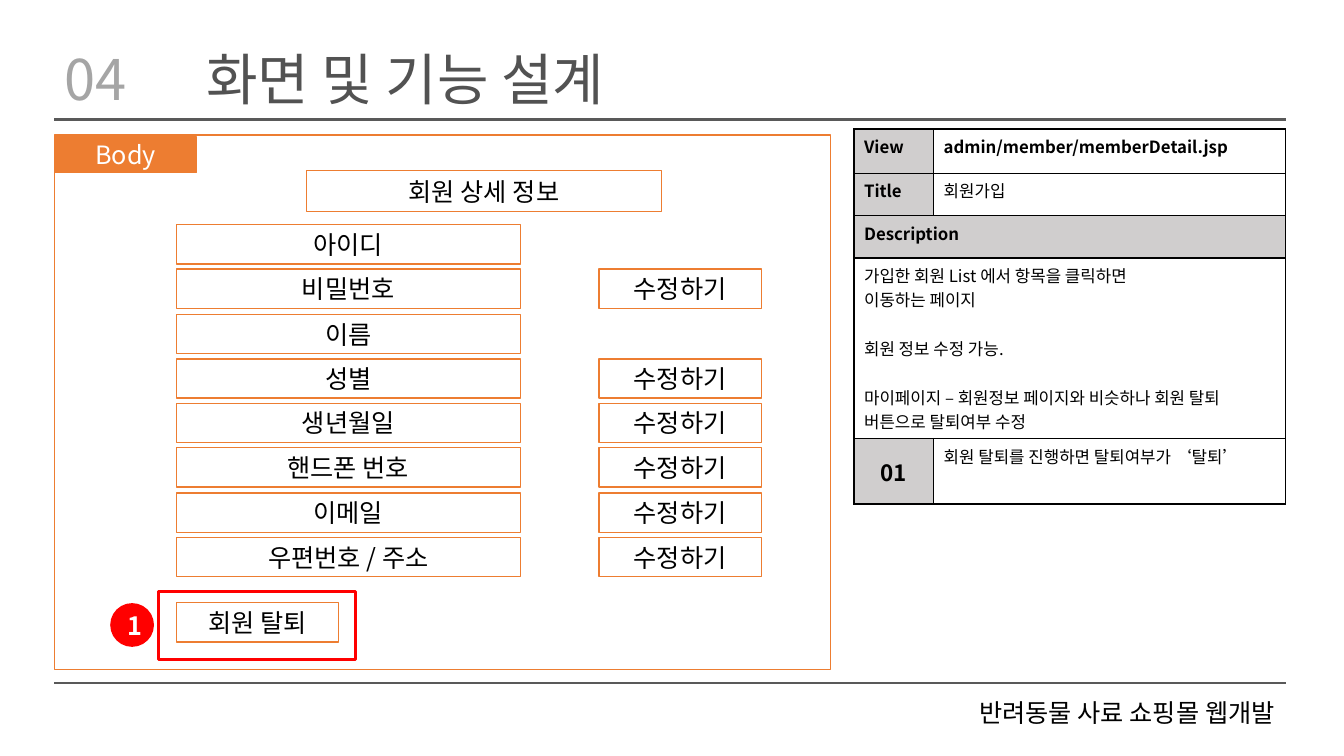
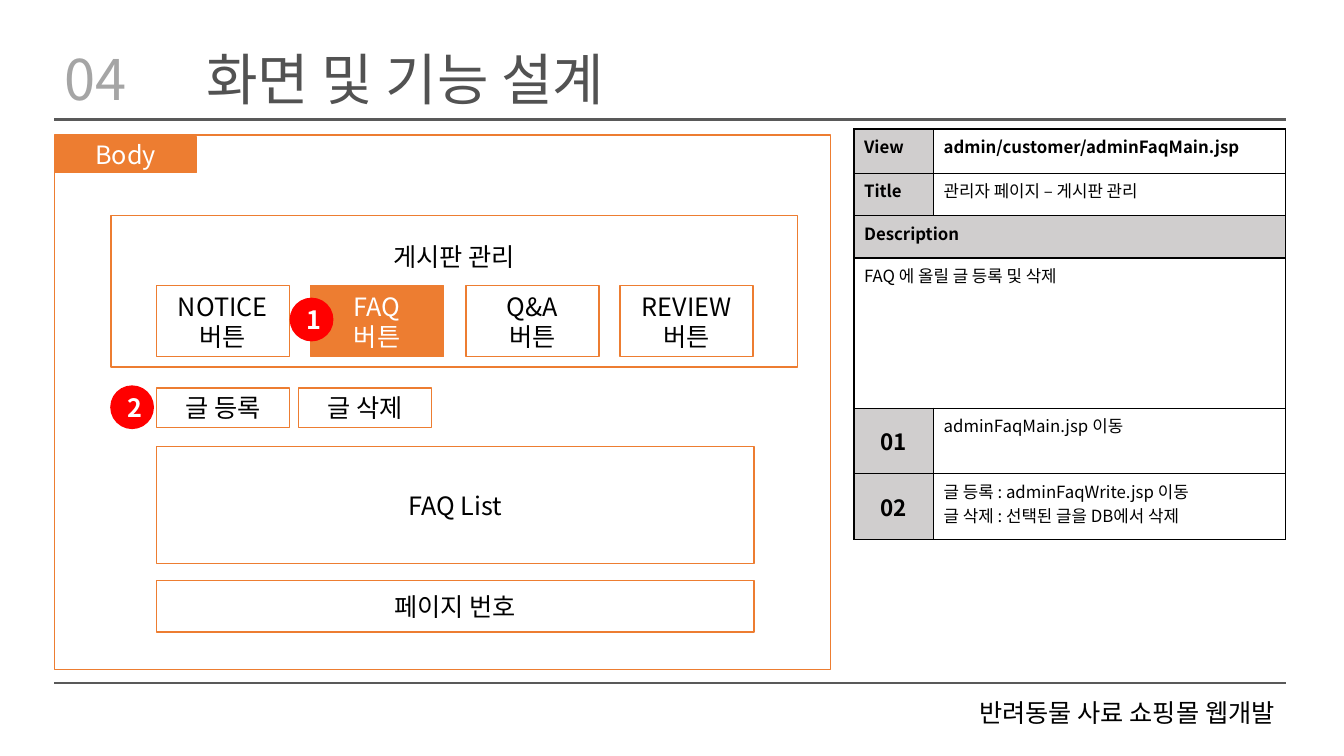
from dataclasses import dataclass
from typing import NamedTuple, Optional

from lxml import etree
from pptx import Presentation
from pptx import slide as sl
from pptx import util as u
from pptx.dml import color
from pptx.enum import shapes, text
from pptx.oxml import ns

EMU_PER_PX = 9144  # 100 px to the inch


def px(length: int) -> u.Emu:
    return u.Emu(length * EMU_PER_PX)


@dataclass(frozen=True)
class Theme:
    font: str = "Noto Sans CJK KR"
    white: str = "FFFFFF"
    black: str = "000000"
    rule: str = "595959"
    number: str = "A5A5A5"
    title: str = "525252"
    accent: str = "ED7D31"
    alert: str = "FF0000"
    label: str = "D0CECE"
    title_size: int = 40
    body_size: int = 18
    index_size: int = 16
    cell_size: int = 12
    blank_line: float = 17.4


T = Theme()


class Look(NamedTuple):
    fill: Optional[str] = None
    line: Optional[str] = None
    weight: float = 1
    ink: str = T.black
    bold: bool = False
    size: int = T.body_size
    align: text.PP_ALIGN = text.PP_ALIGN.CENTER
    anchor: text.MSO_ANCHOR = text.MSO_ANCHOR.MIDDLE
    spacing: Optional[float] = None


class Place(NamedTuple):
    left: int
    top: int
    width: int
    height: int


class Line(NamedTuple):
    words: str
    gap_before: float = 0


class Box(NamedTuple):
    place: Place
    lines: tuple[str, ...] = ()
    look: Look = Look(line=T.accent)
    outline: shapes.MSO_SHAPE = shapes.MSO_SHAPE.RECTANGLE


class Action(NamedTuple):
    index: str
    lines: tuple[str, ...]


class Screen(NamedTuple):
    view: str
    title: str
    description: tuple[Line, ...]
    actions: tuple[Action, ...]
    mockup: tuple[Box, ...]


FIELD = Look(line=T.accent)
SELECTED = Look(fill=T.accent, line=T.accent, ink=T.white)
CAPTION = Look()
HIGHLIGHT = Look(line=T.alert, weight=2.25)
BADGE = Look(fill=T.alert, line=T.alert, ink=T.white, bold=True)
HEADING = Look(size=T.title_size, align=text.PP_ALIGN.LEFT,
               anchor=text.MSO_ANCHOR.TOP, spacing=0.9)
FOOTER = Look(fill=T.white, align=text.PP_ALIGN.RIGHT,
              anchor=text.MSO_ANCHOR.TOP, spacing=0.8)
CELL = Look(fill=T.white, size=T.cell_size, align=text.PP_ALIGN.LEFT,
            anchor=text.MSO_ANCHOR.TOP)
CELL_BOLD = CELL._replace(bold=True)
CELL_LABEL = CELL_BOLD._replace(fill=T.label)
CELL_INDEX = Look(fill=T.label, bold=True, size=T.index_size)

# Elements that every screen shares
FRAME = (
    Box(Place(773, 693, 501, 37), ("반려동물 사료 쇼핑몰 웹개발",), FOOTER),
    Box(Place(54, 47, 84, 66), ("04",), HEADING._replace(ink=T.number)),
    Box(Place(195, 47, 1080, 66), ("화면 및 기능 설계",),
        HEADING._replace(ink=T.title)),
)
BODY = (
    Box(Place(54, 134, 770, 530)),
    Box(Place(54, 136, 141, 35), ("Body",), SELECTED),
)
RULES = ((119, 2.25), (678, 1.5))
RULE_LEFT, RULE_RIGHT = 54, 1275
TABLE_LEFT, TABLE_TOP = 847, 128
TABLE_COLUMNS = (79, 349)
HEAD_ROWS = (44, 42, 42, 149)
ACTION_ROW = 65


def rgb(value: str) -> color.RGBColor:
    return color.RGBColor.from_string(value)


def write(frame, lines: tuple[Line, ...], look: Look) -> None:
    """Fill a text frame, one paragraph for each line."""
    for number, line in enumerate(lines):
        paragraph = frame.paragraphs[0] if number == 0 else frame.add_paragraph()
        paragraph.alignment = look.align
        if look.spacing:
            paragraph.line_spacing = look.spacing
        if line.gap_before:
            paragraph.space_before = u.Pt(line.gap_before)
        run = paragraph.add_run()
        run.text = line.words
        run.font.size = u.Pt(look.size)
        run.font.bold = look.bold
        run.font.color.rgb = rgb(look.ink)
        run.font.name = T.font
        east_asian = etree.SubElement(run.font._element, ns.qn("a:ea"))
        east_asian.set("typeface", T.font)


def draw_box(slide: sl.Slide, box: Box) -> None:
    look = box.look
    shape = slide.shapes.add_shape(box.outline, *map(px, box.place))
    shape.shadow.inherit = False
    if look.fill:
        shape.fill.solid()
        shape.fill.fore_color.rgb = rgb(look.fill)
    else:
        shape.fill.background()
    if look.line:
        shape.line.color.rgb = rgb(look.line)
        shape.line.width = u.Pt(look.weight)
    else:
        shape.line.fill.background()
    shape.text_frame.word_wrap = True
    shape.text_frame.vertical_anchor = look.anchor
    write(shape.text_frame, tuple(map(Line, box.lines)), look)


def draw_rule(slide: sl.Slide, top: int, weight: float) -> None:
    rule = slide.shapes.add_connector(
        shapes.MSO_CONNECTOR.STRAIGHT,
        px(RULE_LEFT), px(top), px(RULE_RIGHT), px(top))
    rule.line.color.rgb = rgb(T.rule)
    rule.line.width = u.Pt(weight)
    etree.SubElement(rule._element.spPr, ns.qn("a:effectLst"))


def style_cell(cell, look: Look) -> None:
    """Give a cell its fill, anchor and four black borders."""
    cell.fill.solid()
    cell.fill.fore_color.rgb = rgb(look.fill)
    cell.vertical_anchor = look.anchor
    properties = cell._tc.get_or_add_tcPr()
    for position, side in enumerate(("lnL", "lnR", "lnT", "lnB")):
        border = etree.Element(ns.qn(f"a:{side}"), w=str(int(u.Pt(1))))
        fill = etree.SubElement(border, ns.qn("a:solidFill"))
        etree.SubElement(fill, ns.qn("a:srgbClr"), val=T.black)
        properties.insert(position, border)


def draw_table(slide: sl.Slide, screen: Screen) -> None:
    heights = HEAD_ROWS + (ACTION_ROW,) * len(screen.actions)
    table = slide.shapes.add_table(
        len(heights), len(TABLE_COLUMNS), px(TABLE_LEFT), px(TABLE_TOP),
        px(sum(TABLE_COLUMNS)), px(sum(heights))).table
    table.first_row = table.horz_banding = False
    for column, width in zip(table.columns, TABLE_COLUMNS):
        column.width = px(width)
    # A row with one entry spans both columns
    rows = [
        (((Line("View"),), CELL_LABEL), ((Line(screen.view),), CELL_BOLD)),
        (((Line("Title"),), CELL_LABEL), ((Line(screen.title),), CELL)),
        (((Line("Description"),), CELL_LABEL),),
        ((screen.description, CELL),),
    ]
    for action in screen.actions:
        rows.append((((Line(action.index),), CELL_INDEX),
                     (tuple(map(Line, action.lines)), CELL)))
    for number, (entries, height) in enumerate(zip(rows, heights)):
        table.rows[number].height = px(height)
        for column in range(len(TABLE_COLUMNS)):
            style_cell(table.cell(number, column),
                       entries[min(column, len(entries) - 1)][1])
        if len(entries) == 1:
            table.cell(number, 0).merge(table.cell(number, 1))
        for column, (lines, look) in enumerate(entries):
            write(table.cell(number, column).text_frame, lines, look)


def badge(left: int, top: int, number: str) -> Box:
    return Box(Place(left, top, 42, 42), (number,), BADGE,
               shapes.MSO_SHAPE.OVAL)


def member_mockup() -> tuple[Box, ...]:
    fields = (("아이디", False), ("비밀번호", True), ("이름", False),
              ("성별", True), ("생년월일", True), ("핸드폰 번호", True),
              ("이메일", True), ("우편번호 / 주소", True))
    first, last = 223, 533
    mockup = [Box(Place(304, 169, 352, 41), ("회원 상세 정보",))]
    for number, (field, editable) in enumerate(fields):
        top = round(first + number * (last - first) / (len(fields) - 1))
        mockup.append(Box(Place(175, top, 341, 39), (field,)))
        if editable:
            mockup.append(Box(Place(594, top, 161, 39), ("수정하기",)))
    mockup += [
        Box(Place(175, 598, 161, 39), ("회원 탈퇴",)),
        Box(Place(157, 587, 196, 67), (), HIGHLIGHT),
        badge(110, 599, "1"),
    ]
    return tuple(mockup)


def faq_mockup() -> tuple[Box, ...]:
    boards = ("NOTICE", "FAQ", "Q&A", "REVIEW")
    first, last, width = 155, 615, 132
    mockup = [
        Box(Place(155, 443, 593, 116), ("FAQ List",)),
        Box(Place(155, 576, 593, 51), ("페이지 번호",)),
        Box(Place(110, 214, 681, 150)),
        Box(Place(373, 234, 155, 40), ("게시판 관리",), CAPTION),
    ]
    for number, board in enumerate(boards):
        left = round(first + number * (last - first) / (len(boards) - 1))
        mockup.append(Box(Place(left, 283, width, 71), (board, "버튼"),
                          SELECTED if board == "FAQ" else FIELD))
    for left, command in ((155, "글 등록"), (296, "글 삭제")):
        mockup.append(Box(Place(left, 385, width, 39), (command,)))
    mockup += [badge(288, 296, "1"), badge(110, 383, "2")]
    return tuple(mockup)


SCREENS = (
    Screen(
        "admin/member/memberDetail.jsp", "회원가입",
        (Line("가입한 회원 List 에서 항목을 클릭하면"),
         Line("이동하는 페이지"),
         Line("회원 정보 수정 가능.", T.blank_line),
         Line("마이페이지 – 회원정보 페이지와 비슷하나 회원 탈퇴 버튼으로 "
              "탈퇴여부 수정", T.blank_line)),
        (Action("01", ("회원 탈퇴를 진행하면 탈퇴여부가 ‘탈퇴’",)),),
        member_mockup()),
    Screen(
        "admin/customer/adminFaqMain.jsp", "관리자 페이지 – 게시판 관리",
        (Line("FAQ 에 올릴 글 등록 및 삭제"),),
        (Action("01", ("adminFaqMain.jsp 이동",)),
         Action("02", ("글 등록 : adminFaqWrite.jsp 이동",
                       "글 삭제 : 선택된 글을 DB에서 삭제"))),
        faq_mockup()),
)


def main() -> None:
    deck = Presentation()
    deck.slide_width, deck.slide_height = px(1333), px(750)
    for screen in SCREENS:
        slide = deck.slides.add_slide(deck.slide_layouts[6])
        for top, weight in RULES:
            draw_rule(slide, top, weight)
        for box in FRAME:
            draw_box(slide, box)
        draw_table(slide, screen)
        for box in BODY + screen.mockup:
            draw_box(slide, box)
    deck.save("out.pptx")


if __name__ == "__main__":
    main()
